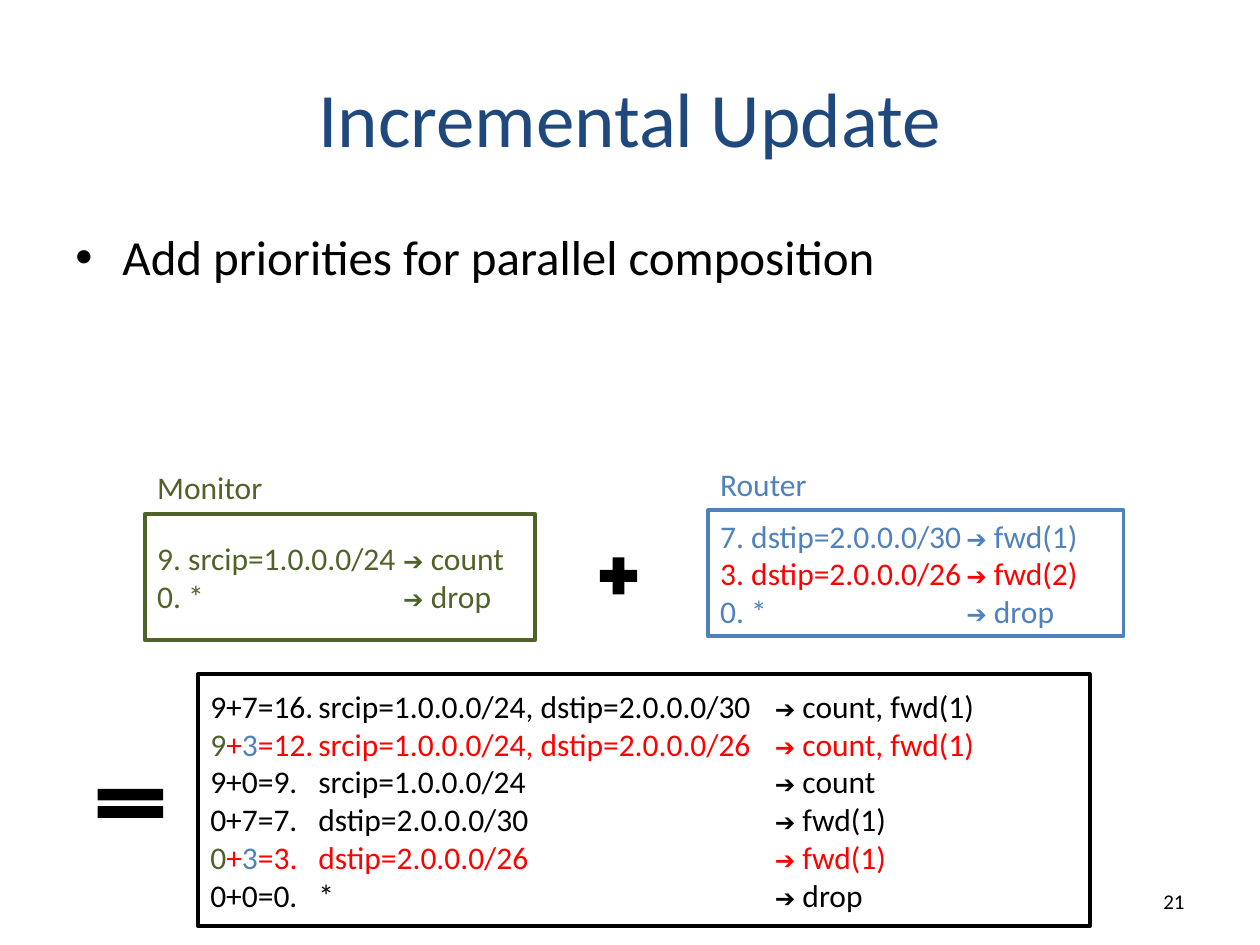
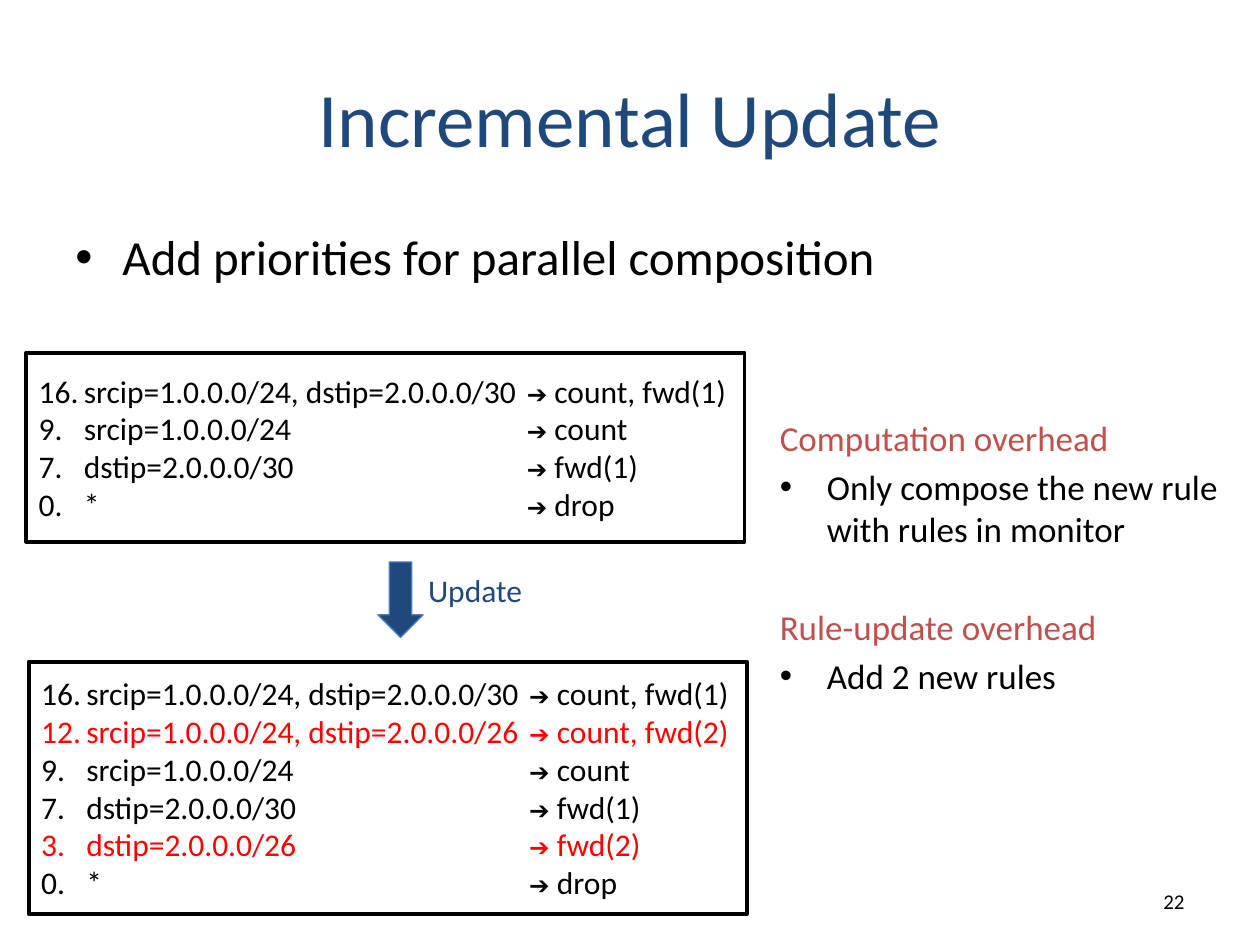
"""Build two slides on incremental updates of composed forwarding rules."""
from lxml.etree import SubElement
from pptx import Presentation
from pptx.dml.color import RGBColor
from pptx.enum.shapes import MSO_SHAPE
from pptx.enum.text import MSO_ANCHOR, PP_ALIGN
from pptx.oxml.ns import qn
from pptx.util import Cm, Pt

NAVY, BLUE, GREEN = "1F497D", "4F81BD", "4F6228"
RED, BRICK, BLACK, WHITE = "FF0000", "C0504D", "000000", "FFFFFF"
ARROW, BULLET = "➔", "• "
RULE_TABS, RESULT_TABS, UPDATE_TABS = (4.96,), (2.18, 11.38), (0.91, 9.84)


def paint(fill, color):
    fill.solid()
    fill.fore_color.rgb = RGBColor.from_string(color)


def write(page, place, lines, size=18, color=BLACK, frame=None, align=PP_ALIGN.LEFT,
          anchor=MSO_ANCHOR.TOP, spacing=0, tabs=()):
    lengths = [Cm(length) for length in place]
    if frame:
        box = page.shapes.add_shape(MSO_SHAPE.RECTANGLE, *lengths)
        box.shadow.inherit = False
        paint(box.fill, WHITE)
        paint(box.line.fill, frame)
        box.line.width = Pt(2.25)
        anchor = MSO_ANCHOR.MIDDLE
    else:
        box = page.shapes.add_textbox(*lengths)
    box.text_frame.word_wrap = True
    box.text_frame.vertical_anchor = anchor
    for index, line in enumerate(lines):
        para = box.text_frame.add_paragraph() if index else box.text_frame.paragraphs[0]
        para.alignment = align
        para.space_before = Pt(spacing)
        properties = para._p.get_or_add_pPr()
        spans = [(line, color)] if isinstance(line, str) else line
        if spans[0][0].startswith(BULLET):
            spans = [(spans[0][0].removeprefix(BULLET), spans[0][1])]
            properties.set("marL", str(Cm(0.95)))
            properties.set("indent", str(-Cm(0.95)))
            SubElement(properties, qn("a:buFont"), typeface="Arial")
            SubElement(properties, qn("a:buChar"), char=BULLET.strip())
        if tabs:
            stops = SubElement(properties, qn("a:tabLst"))
            for tab in tabs:
                SubElement(stops, qn("a:tab"), pos=str(Cm(tab)), algn="l")
        for text, span_color in spans:
            before, arrow, after = text.partition(ARROW)
            for part in filter(None, (before, arrow, after)):
                span = para.add_run()
                span.text = part
                span.font.name = "Arial" if part == ARROW else "Calibri"
                span.font.size = Pt(14 if part == ARROW else size)
                paint(span.font.fill, span_color)
    return box


deck = Presentation()
deck.slide_width, deck.slide_height = Cm(25.4), Cm(19.05)
pages = []
for number in ("21", "22"):
    page = deck.slides.add_slide(deck.slide_layouts[6])
    write(page, (1.27, 0.76, 22.86, 3.18), ["Incremental Update"], size=44, color=NAVY,
          align=PP_ALIGN.CENTER, anchor=MSO_ANCHOR.MIDDLE)
    write(page, (1.27, 4.45, 22.86, 12.57), ["• Add priorities for parallel composition"],
          size=28, spacing=5.6)
    write(page, (18.21, 17.65, 5.92, 1.02), [number], size=12,
          align=PP_ALIGN.RIGHT, anchor=MSO_ANCHOR.MIDDLE)
    pages.append(page)
composition, update = pages

monitor_rules = ["9. srcip=1.0.0.0/24\t➔ count", "0. *\t➔ drop"]
router_rules = [
    "7. dstip=2.0.0.0/30\t➔ fwd(1)",
    [("3. dstip=2.0.0.0/26\t➔ fwd(2)", RED)],
    "0. *\t➔ drop",
]
for name, rules, color, left, top, width in (
    ("Monitor", monitor_rules, GREEN, 2.92, 10.36, 7.87),
    ("Router", router_rules, BLUE, 14.27, 10.29, 8.38),
):
    write(composition, (left, top, width, 2.54), rules, color=color, frame=color, tabs=RULE_TABS)
    write(composition, (left, top - 1.04, 4.06, 1.02), [name], color=color)

composed_rules = [
    "9+7=16.\tsrcip=1.0.0.0/24, dstip=2.0.0.0/30\t➔ count, fwd(1)",
    [("9", GREEN), ("+", RED), ("3", BLUE),
     ("=12.\tsrcip=1.0.0.0/24, dstip=2.0.0.0/26\t➔ count, fwd(1)", RED)],
    "9+0=9.\tsrcip=1.0.0.0/24\t➔ count",
    "0+7=7.\tdstip=2.0.0.0/30\t➔ fwd(1)",
    [("0", GREEN), ("+", RED), ("3", BLUE), ("=3.\tdstip=2.0.0.0/26\t➔ fwd(1)", RED)],
    "0+0=0.\t*\t➔ drop",
]
write(composition, (3.99, 13.59, 17.98, 5.08), composed_rules, frame=BLACK, tabs=RESULT_TABS)

updated_rules = [
    [("16.\tsrcip=1.0.0.0/24, dstip=2.0.0.0/30\t➔ count, fwd(1)", BLACK)],
    [("12.\tsrcip=1.0.0.0/24, dstip=2.0.0.0/26\t➔ count, fwd(2)", RED)],
    [("9.\tsrcip=1.0.0.0/24\t➔ count", BLACK)],
    [("7.\tdstip=2.0.0.0/30\t➔ fwd(1)", BLACK)],
    [("3.\tdstip=2.0.0.0/26\t➔ fwd(2)", RED)],
    [("0.\t*\t➔ drop", BLACK)],
]
earlier_rules = [rule for rule in updated_rules if rule[0][1] == BLACK]
write(update, (8.38, 11.38, 2.49, 1.02), ["Update"], color=NAVY)
write(update, (0.58, 13.34, 14.48, 5.08), updated_rules, frame=BLACK, tabs=UPDATE_TABS)
write(update, (0.53, 7.11, 14.48, 3.81), earlier_rules, frame=BLACK, tabs=UPDATE_TABS)

overhead = write(update, (15.47, 8.28, 10.11, 8), [
    [("Computation overhead", BRICK)],
    "• Only compose the new rule with rules in monitor",
    [("Rule-update overhead", BRICK)],
    "• Add 2 new rules",
], size=20, spacing=4)
overhead.text_frame.paragraphs[2].space_before = Pt(32)

for page, kind, color, outline, place in (
    (composition, MSO_SHAPE.MATH_PLUS, BLACK, None, (11.96, 11.1, 1.02, 1.02)),
    (composition, MSO_SHAPE.MATH_EQUAL, BLACK, None, (1.73, 15.7, 1.8, 0.99)),
    (update, MSO_SHAPE.DOWN_ARROW, NAVY, "4B7EBC", (7.62, 11.33, 0.91, 1.52)),
):
    symbol = page.shapes.add_shape(kind, *[Cm(length) for length in place])
    symbol.shadow.inherit = False
    paint(symbol.fill, color)
    if outline:
        paint(symbol.line.fill, outline)
        symbol.line.width = Pt(0.75)
    else:
        symbol.line.fill.background()

deck.save("out.pptx")
